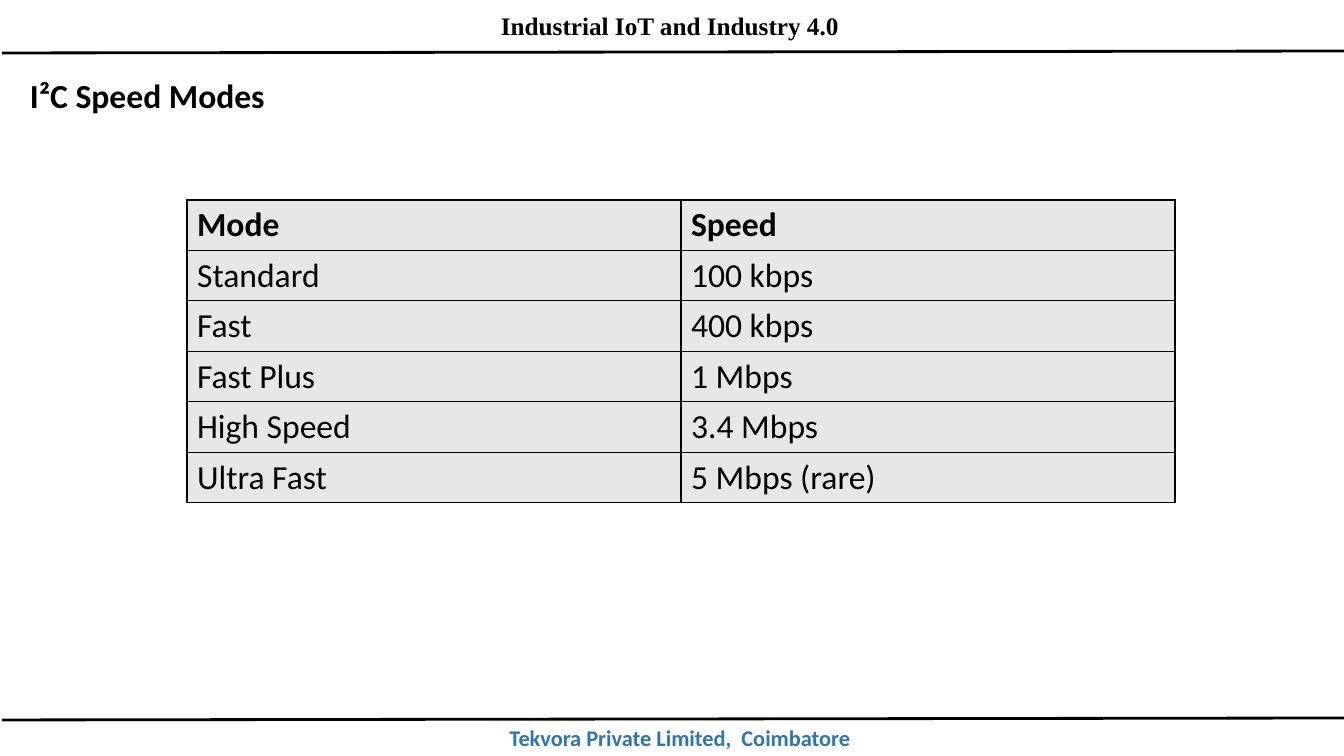
"""Builds the I²C speed modes slide with its header, footer and table."""
from dataclasses import dataclass

from lxml import etree
from pptx import Presentation
from pptx import util as u
from pptx.dml.color import RGBColor
from pptx.enum import shapes, text
from pptx.oxml import ns


@dataclass(frozen=True)
class Theme:
    ink: str = "000000"
    blue: str = "2E75B6"
    gray: str = "E7E7E7"
    sans: str = "Calibri"
    serif: str = "Times New Roman"
    body: int = 24
    top: int = 18
    foot: int = 16
    rule: int = 2
    edge: int = 1


theme = Theme()


def px(num):
    return u.Emu(round(num * 914400 / 100.8))


def write(frame, words, size, face=theme.sans, tint=theme.ink, bold=True, align=None):
    para = frame.paragraphs[0]
    para.alignment = align
    run = para.add_run()
    run.text = words
    run.font.size = u.Pt(size)
    run.font.name = face
    run.font.bold = bold
    run.font.color.rgb = RGBColor.from_string(tint)


deck = Presentation()
deck.slide_width, deck.slide_height = px(1344), px(756)
slide = deck.slides.add_slide(deck.slide_layouts[6])

just, mid = text.PP_ALIGN.JUSTIFY, text.PP_ALIGN.CENTER
labels = [
    ((491, 5, 363, 40), False, "Industrial IoT and Industry 4.0",
     theme.top, theme.serif, theme.ink, just),
    ((281, 719, 798, 37), True, "Tekvora Private Limited,  Coimbatore",
     theme.foot, theme.sans, theme.blue, mid),
    ((20, 70, 258, 50), False, "I²C Speed Modes",
     theme.body, theme.sans, theme.ink, None),
]
for area, wrap, words, size, face, tint, align in labels:
    frame = slide.shapes.add_textbox(*map(px, area)).text_frame
    frame.word_wrap = wrap
    frame.auto_size = text.MSO_AUTO_SIZE.SHAPE_TO_FIT_TEXT
    write(frame, words, size, face, tint, align=align)

for start, end in [(53, 51), (720, 718)]:
    rule = slide.shapes.add_connector(
        shapes.MSO_CONNECTOR.STRAIGHT, px(2), px(start), px(1347), px(end))
    rule.line.color.rgb = RGBColor.from_string(theme.ink)
    rule.line.width = u.Pt(theme.rule)
    etree.SubElement(rule.element.spPr, ns.qn("a:effectLst"))

modes = [
    ("Mode", "Speed"),
    ("Standard", "100 kbps"),
    ("Fast", "400 kbps"),
    ("Fast Plus", "1 Mbps"),
    ("High Speed", "3.4 Mbps"),
    ("Ultra Fast", "5 Mbps (rare)"),
]
table = slide.shapes.add_table(
    len(modes), 2, px(187), px(200), px(988), px(50 * len(modes))).table
table.horz_banding = False
for col in table.columns:
    col.width = px(494)
for row, pair in enumerate(modes):
    table.rows[row].height = px(50)
    for col, words in enumerate(pair):
        cell = table.cell(row, col)
        cell.vertical_anchor = text.MSO_ANCHOR.MIDDLE
        write(cell.text_frame, words, theme.body, bold=row == 0)
        props = cell._tc.get_or_add_tcPr()
        for side in ("lnL", "lnR", "lnT", "lnB"):
            line = etree.SubElement(
                props, ns.qn(f"a:{side}"), w=str(u.Pt(theme.edge)))
            fill = etree.SubElement(line, ns.qn("a:solidFill"))
            etree.SubElement(fill, ns.qn("a:srgbClr"), val=theme.ink)
        cell.fill.solid()
        cell.fill.fore_color.rgb = RGBColor.from_string(theme.gray)

deck.save("out.pptx")
